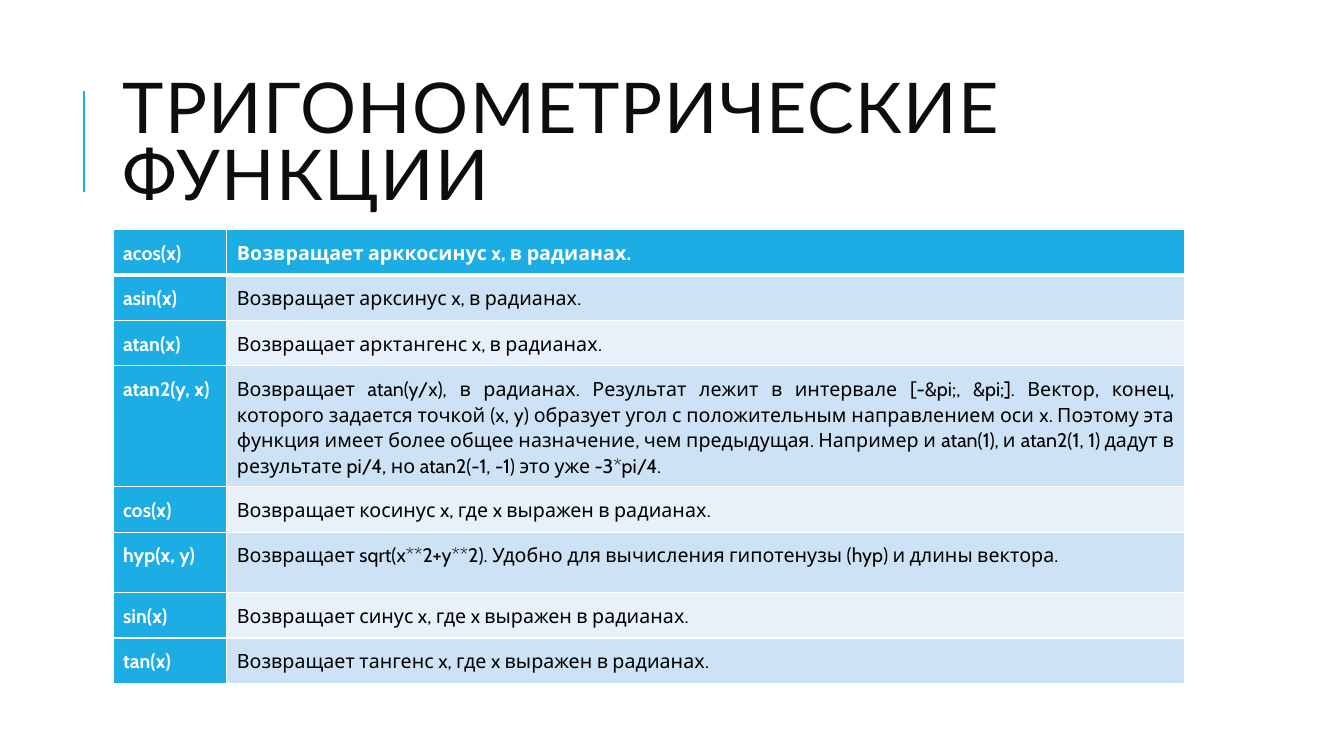
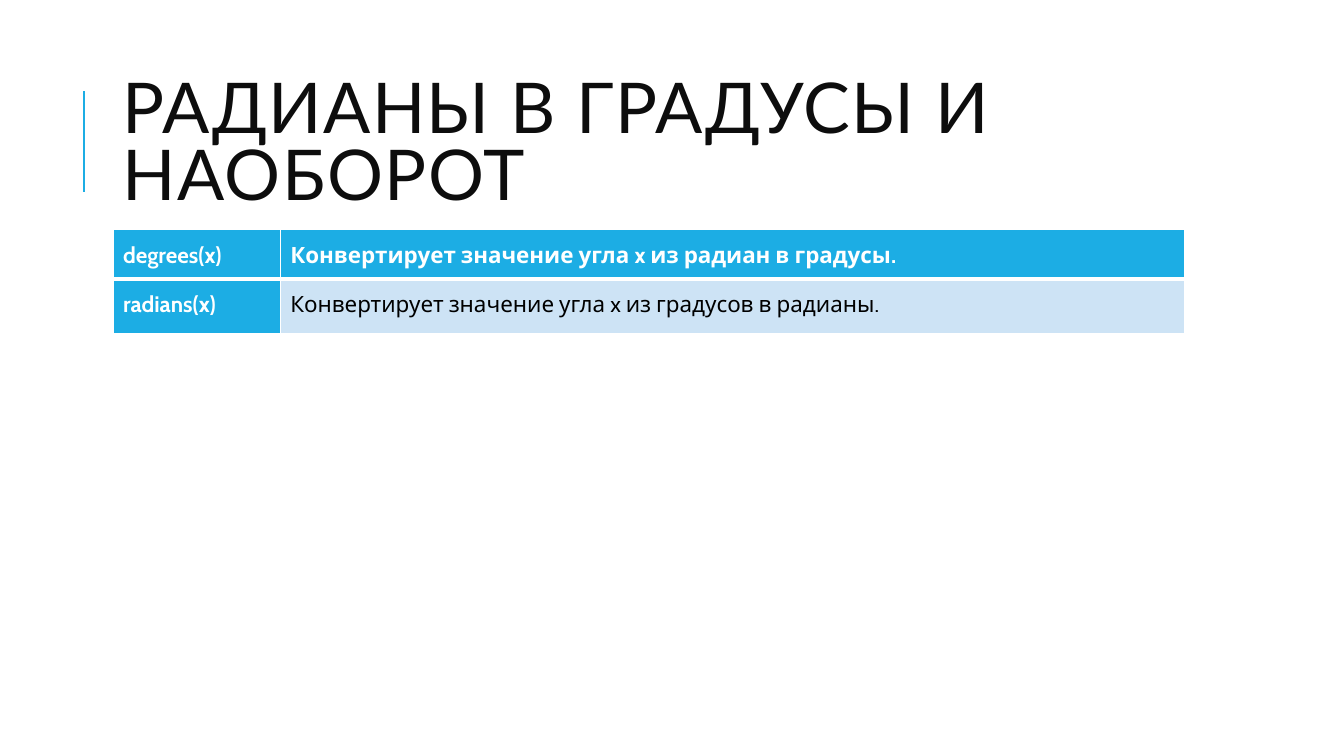
from dataclasses import dataclass

from lxml import etree
from pptx import Presentation
from pptx.dml.color import RGBColor
from pptx.enum.shapes import MSO_CONNECTOR
from pptx.enum.text import MSO_ANCHOR, PP_ALIGN
from pptx.oxml.ns import qn
from pptx.util import Emu, Pt

STRAIGHT = MSO_CONNECTOR.STRAIGHT
MIDDLE = MSO_ANCHOR.MIDDLE
LEFT = PP_ALIGN.LEFT
JUSTIFY = PP_ALIGN.JUSTIFY

EMU_PER_PX = 9144  # 100 px to the inch
SLIDE_WIDTH, SLIDE_HEIGHT = 1333, 750
CONTENT_LEFT, CONTENT_WIDTH = 112, 1063
TITLE_TOP, TITLE_HEIGHT = 64, 164
TABLE_TOP = TITLE_TOP + TITLE_HEIGHT
ACCENT_X, ACCENT_TOP, ACCENT_BOTTOM = 83, 90, 190
CELL_INSET = 10

COLORS = {
    "accent": "1CADE4",
    "title": "0D0D0D",
    "text": "000000",
    "white": "FFFFFF",
    "band_dark": "CDE3F5",
    "band_light": "E8F1FA",
}
TITLE_FONT, TABLE_FONT = "Lato", "Cabin"
THIN_BORDER, HEADER_BORDER = 1, 3


@dataclass(frozen=True)
class FunctionRow:
    name: str
    description: str
    height: int = 41


@dataclass(frozen=True)
class FunctionSlide:
    title: str
    name_width: int
    font_size: int
    alignment: PP_ALIGN
    rows: tuple[FunctionRow, ...]


SLIDES = (
    FunctionSlide("ТРИГОНОМЕТРИЧЕСКИЕ ФУНКЦИИ", 113, 14, JUSTIFY, (
        FunctionRow("acos(x)", "Возвращает арккосинус x, в радианах."),
        FunctionRow("asin(x)", "Возвращает арксинус x, в радианах."),
        FunctionRow("atan(x)", "Возвращает арктангенс x, в радианах."),
        FunctionRow(
            "atan2(y, x)",
            "Возвращает atan(y/x), в радианах. Результат лежит в интервале "
            "[-&pi;, &pi;]. Вектор, конец, которого задается точкой (x, y) "
            "образует угол с положительным направлением оси x. Поэтому эта "
            "функция имеет более общее назначение, чем предыдущая. Например и "
            "atan(1), и atan2(1, 1) дадут в результате pi/4, но atan2(-1, -1) "
            "это уже -3*pi/4.",
            116,
        ),
        FunctionRow("cos(x)", "Возвращает косинус x, где x выражен в радианах."),
        FunctionRow(
            "hyp(x, y)",
            "Возвращает sqrt(x**2+y**2). Удобно для вычисления гипотенузы (hyp) "
            "и длины вектора.",
            60,
        ),
        FunctionRow("sin(x)", "Возвращает синус x, где x выражен в радианах."),
        FunctionRow("tan(x)", "Возвращает тангенс x, где x выражен в радианах."),
    )),
    FunctionSlide("РАДИАНЫ В ГРАДУСЫ И НАОБОРОТ", 166, 16, LEFT, (
        FunctionRow("degrees(x)", "Конвертирует значение угла x из радиан в градусы.", 43),
        FunctionRow("radians(x)", "Конвертирует значение угла x из градусов в радианы.", 54),
    )),
)


def px(length: int) -> Emu:
    return Emu(length * EMU_PER_PX)


def rgb(name: str) -> RGBColor:
    return RGBColor.from_string(COLORS[name])


def format_run(run, font_name: str, size: int, color: str, bold: bool = False) -> None:
    font = run.font
    font.name = font_name
    font.size = Pt(size)
    font.bold = bold
    font.color.rgb = rgb(color)


def add_accent_line(slide) -> None:
    line = slide.shapes.add_connector(
        STRAIGHT, px(ACCENT_X), px(ACCENT_BOTTOM), px(ACCENT_X), px(ACCENT_TOP)
    )
    line.line.color.rgb = rgb("accent")
    line.line.width = Pt(1.5)
    etree.SubElement(line._element.spPr, qn("a:effectLst"))


def add_title(slide, title: str) -> None:
    box = slide.shapes.add_textbox(
        px(CONTENT_LEFT), px(TITLE_TOP), px(CONTENT_WIDTH), px(TITLE_HEIGHT)
    )
    frame = box.text_frame
    frame.word_wrap = True
    frame.vertical_anchor = MIDDLE
    frame.text = title
    paragraph = frame.paragraphs[0]
    paragraph.line_spacing = 0.8
    run = paragraph.runs[0]
    format_run(run, TITLE_FONT, 50, "title")
    run.font._element.set("spc", "100")


def set_borders(cell, top: int, bottom: int) -> None:
    """Draw white borders; must run before the fill, which follows them in the XML."""
    properties = cell._tc.get_or_add_tcPr()
    widths = {"lnL": THIN_BORDER, "lnR": THIN_BORDER, "lnT": top, "lnB": bottom}
    for tag, width in widths.items():
        border = etree.SubElement(properties, qn(f"a:{tag}"), w=str(Pt(width)))
        fill = etree.SubElement(border, qn("a:solidFill"))
        etree.SubElement(fill, qn("a:srgbClr"), val=COLORS["white"])


def fill_cell(cell, text: str, row: int, column: int, content: FunctionSlide) -> None:
    is_heading = row == 0 or column == 0
    band = "band_dark" if row % 2 else "band_light"
    set_borders(
        cell,
        top=HEADER_BORDER if row == 1 else THIN_BORDER,
        bottom=HEADER_BORDER if row == 0 else THIN_BORDER,
    )
    cell.fill.solid()
    cell.fill.fore_color.rgb = rgb("accent" if is_heading else band)
    cell.margin_left = cell.margin_right = px(CELL_INSET)
    cell.margin_top = cell.margin_bottom = px(CELL_INSET)
    cell.text_frame.text = text
    paragraph = cell.text_frame.paragraphs[0]
    paragraph.alignment = content.alignment
    paragraph.line_spacing = 1.07
    format_run(
        paragraph.runs[0],
        TABLE_FONT,
        content.font_size,
        "white" if is_heading else "text",
        bold=is_heading,
    )


def add_function_table(slide, content: FunctionSlide) -> None:
    height = sum(row.height for row in content.rows)
    table = slide.shapes.add_table(
        len(content.rows), 2, px(CONTENT_LEFT), px(TABLE_TOP), px(CONTENT_WIDTH), px(height)
    ).table
    table.horz_banding = False
    table.columns[0].width = px(content.name_width)
    table.columns[1].width = px(CONTENT_WIDTH - content.name_width)
    for row_index, row in enumerate(content.rows):
        table.rows[row_index].height = px(row.height)
        for column_index, text in enumerate((row.name, row.description)):
            cell = table.cell(row_index, column_index)
            fill_cell(cell, text, row_index, column_index, content)


def main() -> None:
    presentation = Presentation()
    presentation.slide_width = px(SLIDE_WIDTH)
    presentation.slide_height = px(SLIDE_HEIGHT)
    blank_layout = presentation.slide_layouts[6]
    for content in SLIDES:
        slide = presentation.slides.add_slide(blank_layout)
        add_accent_line(slide)
        add_title(slide, content.title)
        add_function_table(slide, content)
    presentation.save("out.pptx")


if __name__ == "__main__":
    main()
